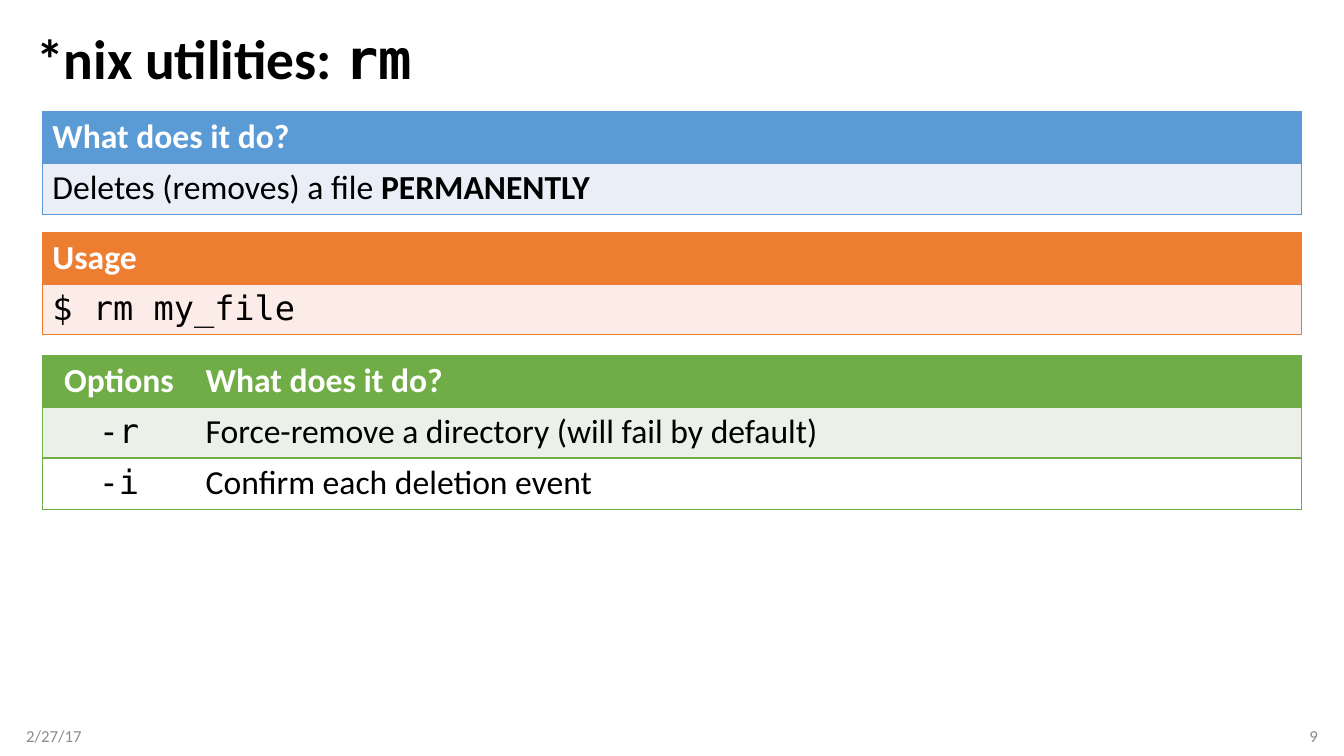
from dataclasses import dataclass
from lxml import etree
from pptx import Presentation
from pptx.dml.color import RGBColor
from pptx.enum.text import MSO_ANCHOR, MSO_AUTO_SIZE, PP_ALIGN
from pptx.oxml.ns import qn
from pptx.util import Inches, Pt

LEFT, CENTER, RIGHT = PP_ALIGN.LEFT, PP_ALIGN.CENTER, PP_ALIGN.RIGHT
MIDDLE = MSO_ANCHOR.MIDDLE
NO_FIT = MSO_AUTO_SIZE.NONE


@dataclass(frozen=True)
class Theme:
    sans: str = "Calibri"
    mono: str = "DejaVu Sans Mono"
    black: str = "000000"
    white: str = "FFFFFF"
    gray: str = "8C8C8C"
    blue: tuple = ("5B9BD5", "EAEFF7")
    orange: tuple = ("ED7D31", "FCECE8")
    green: tuple = ("70AD47", "EBF1E9")
    title: float = 39.6
    body: float = 24
    footer: float = 12


T = Theme()

TITLE = [("*nix utilities: ", T.sans), ("rm", T.mono)]
DATE, NUMBER = "2/27/17", "9"
WIDE, OPTIONS = [12.49], [1.52, 10.97]
TABLES = [
    (1.11, T.blue, WIDE, [
        ["What does it do?"],
        [[("Deletes (removes) a file ", False), ("PERMANENTLY", True)]],
    ], []),
    (2.31, T.orange, WIDE, [["Usage"], ["$ rm my_file"]], [0]),
    (3.53, T.green, OPTIONS, [
        ["Options", "What does it do?"],
        ["-r", "Force-remove a directory (will fail by default)"],
        ["-i", "Confirm each deletion event"],
    ], [0]),
]
TABLE_LEFT, ROW_H = 0.42, 0.5
MARGIN, FOOTER_TOP, FOOTER_W = 0.26, 7.1, 3


def set_font(font, size, color, name=T.sans, bold=False):
    font.name, font.size, font.bold = name, Pt(size), bold
    font.color.rgb = RGBColor.from_string(color)


def add_border(cell, side, color):
    tcPr = cell._tc.get_or_add_tcPr()
    ln = etree.SubElement(tcPr, qn("a:ln" + side), w=str(Pt(1)))
    if color:
        fill = etree.SubElement(ln, qn("a:solidFill"))
        etree.SubElement(fill, qn("a:srgbClr"), val=color)
    else:
        etree.SubElement(ln, qn("a:noFill"))


def add_table(s, top, colors, widths, rows, mono_cols):
    accent, tint = colors
    last = len(widths) - 1
    table = s.shapes.add_table(
        len(rows), len(widths), Inches(TABLE_LEFT), Inches(top),
        Inches(sum(widths)), Inches(ROW_H * len(rows))).table
    for column, width in zip(table.columns, widths):
        column.width = Inches(width)
    for i, row in enumerate(rows):
        header = i == 0
        fill = accent if header else tint if i % 2 else T.white
        for j, content in enumerate(row):
            cell = table.cell(i, j)
            edges = {"L": j == 0, "R": j == last, "T": True, "B": True}
            for side, drawn in edges.items():
                add_border(cell, side, accent if drawn else None)
            cell.fill.solid()
            cell.fill.fore_color.rgb = RGBColor.from_string(fill)
            p = cell.text_frame.paragraphs[0]
            p.alignment = CENTER if j < last else LEFT
            name = T.mono if j in mono_cols and not header else T.sans
            runs = [(content, header)] if isinstance(content, str) else content
            for text, bold in runs:
                r = p.add_run()
                r.text = text
                set_font(r.font, T.body, T.white if header else T.black, name, bold)


def add_footer(s, text, left, align):
    tf = s.shapes.add_textbox(Inches(left), Inches(FOOTER_TOP),
                              Inches(FOOTER_W), Inches(0.4)).text_frame
    tf.word_wrap, tf.vertical_anchor = True, MIDDLE
    if align == LEFT:
        tf.margin_left = 0
    else:
        tf.margin_right = 0
    p = tf.paragraphs[0]
    p.text, p.alignment = text, align
    set_font(p.font, T.footer, T.gray)


prs = Presentation()
prs.slide_width, prs.slide_height = Inches(13.33), Inches(7.5)
s = prs.slides.add_slide(prs.slide_layouts[5])

title = s.shapes.title
title.left, title.top = Inches(MARGIN), Inches(0.25)
title.width, title.height = Inches(12.81), Inches(0.72)
tf = title.text_frame
tf.auto_size, tf.vertical_anchor = NO_FIT, MIDDLE
p = tf.paragraphs[0]
p.alignment, p.line_spacing = LEFT, 0.9
for text, name in TITLE:
    r = p.add_run()
    r.text = text
    set_font(r.font, T.title, T.black, name, True)

for spec_row in TABLES:
    add_table(s, *spec_row)

add_footer(s, DATE, MARGIN, LEFT)
add_footer(s, NUMBER, 13.33 - MARGIN - FOOTER_W, RIGHT)

prs.save("out.pptx")
